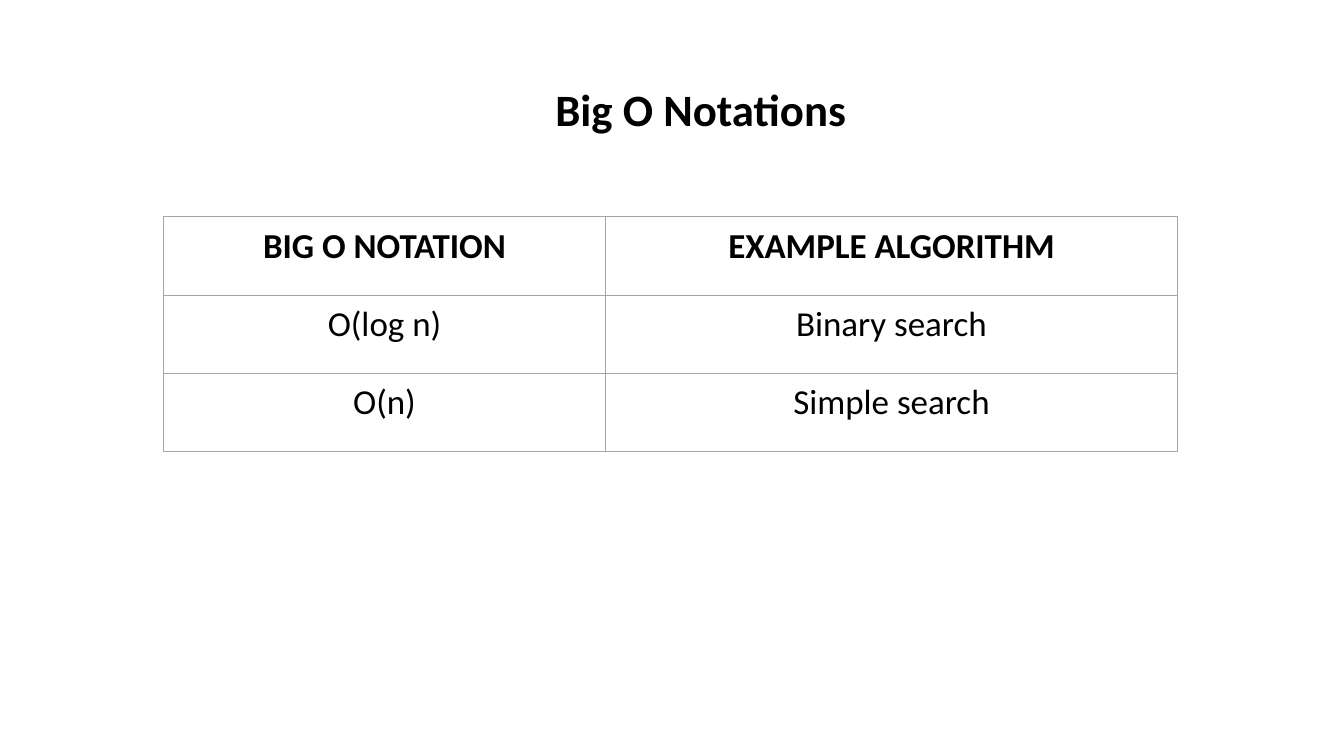
import pptx
import pptx.dml.color
import pptx.enum.text
import pptx.oxml
import pptx.oxml.ns
import pptx.util

Pt = pptx.util.Pt
Color = pptx.dml.color.RGBColor
Align = pptx.enum.text.PP_ALIGN
Anchor = pptx.enum.text.MSO_ANCHOR
Fit = pptx.enum.text.MSO_AUTO_SIZE

BLACK = Color(0x00, 0x00, 0x00)
GREY = Color(0xA5, 0xA5, 0xA5)
FONT = "Calibri"

ROWS = [
    ("BIG O NOTATION", "EXAMPLE ALGORITHM"),
    ("O(log n)", "Binary search"),
    ("O(n)", "Simple search"),
]
COLS = (316.1, 408.2)


def style(item, values):
    for name, value in values.items():
        setattr(item, name, value)


def write(frame, text, size, bold, align):
    frame.text = text
    para = frame.paragraphs[0]
    para.alignment = align
    font = para.runs[0].font
    style(font, {"name": FONT, "size": Pt(size), "bold": bold})
    font.color.rgb = BLACK


def border(cell):
    props = cell._tc.get_or_add_tcPr()
    space = pptx.oxml.ns.nsdecls("a")
    for place, side in enumerate(("lnL", "lnR", "lnT", "lnB")):
        line = pptx.oxml.parse_xml(
            f'<a:{side} {space} w="{Pt(1)}"><a:solidFill>'
            f'<a:srgbClr val="{GREY}"/></a:solidFill></a:{side}>')
        props.insert(place, line)


def add_title(slide, left, top, width, height):
    title = slide.shapes.title
    style(title, {"left": Pt(left), "top": Pt(top),
                  "width": Pt(width), "height": Pt(height)})
    frame = title.text_frame
    # The heading starts four inches into its box
    style(frame, {"margin_left": Pt(295.2), "word_wrap": True,
                  "vertical_anchor": Anchor.TOP,
                  "auto_size": Fit.SHAPE_TO_FIT_TEXT})
    write(frame, "Big O Notations", 32, True, Align.LEFT)


def add_grid(slide, left, top, width, height):
    table = slide.shapes.add_table(
        len(ROWS), len(COLS), Pt(left), Pt(top), Pt(width), Pt(height)).table
    style(table, {"first_row": False, "horz_banding": False})
    for col, share in zip(table.columns, COLS):
        col.width = Pt(width * share / sum(COLS))
    for r, texts in enumerate(ROWS):
        table.rows[r].height = Pt(height / len(ROWS))
        for c, text in enumerate(texts):
            cell = table.cell(r, c)
            style(cell, {"margin_left": Pt(10.8), "margin_right": Pt(10.8),
                         "margin_top": Pt(5.76), "margin_bottom": Pt(5.76),
                         "vertical_anchor": Anchor.TOP})
            cell.fill.background()
            border(cell)
            write(cell.text_frame, text, 25, r == 0, Align.CENTER)


def main():
    deck = pptx.Presentation()
    style(deck, {"slide_width": Pt(960), "slide_height": Pt(540)})
    slide = deck.slides.add_slide(deck.slide_layouts[5])
    # Notation table
    add_grid(slide, 116.6, 154.8, sum(COLS), 168)
    # Heading
    add_title(slide, 101.5, 54.7, 740.2, 46.1)
    deck.save("out.pptx")


if __name__ == "__main__":
    main()
